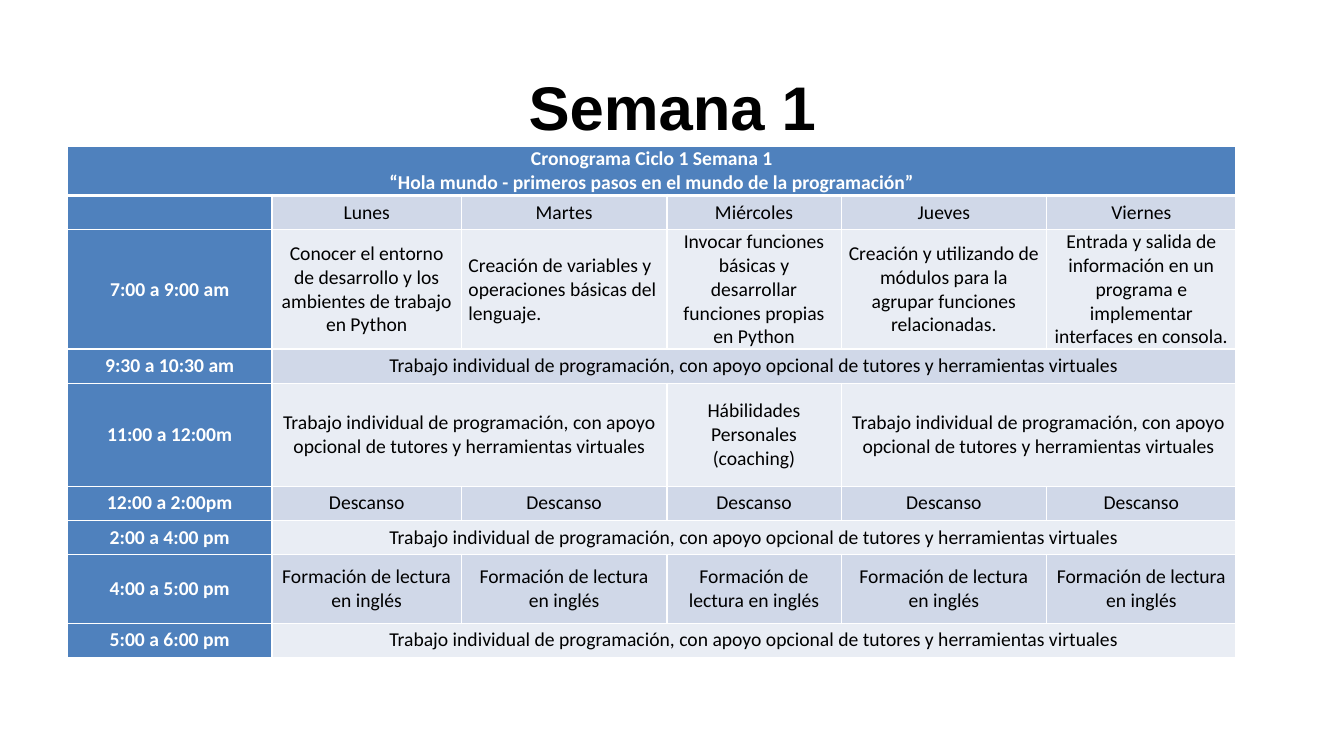
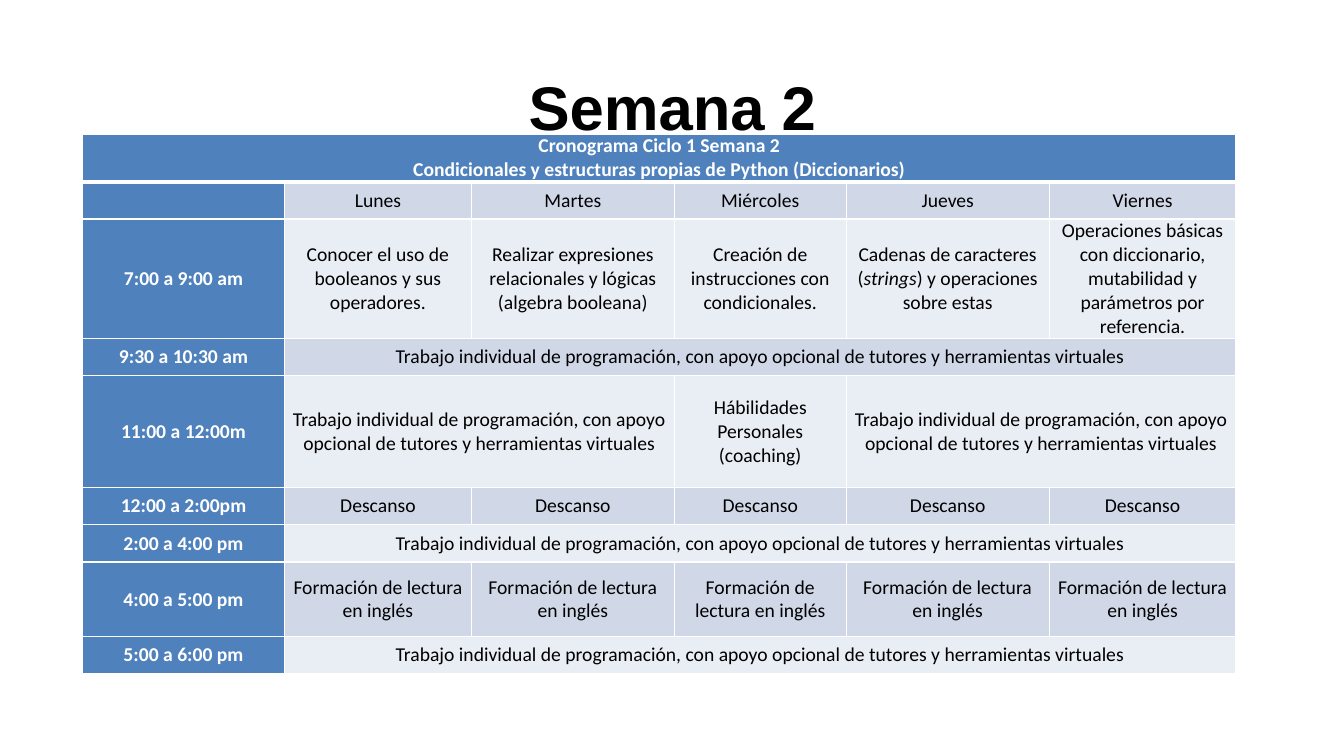
from dataclasses import dataclass

from lxml import etree
from pptx import Presentation
from pptx import util as u
from pptx.dml.color import RGBColor
from pptx.enum import text
from pptx.oxml import ns

BLUE, BAND, PALE = "4F81BD", "D0D8E8", "E9EDF4"
WHITE, BLACK = "FFFFFF", "000000"
COLUMN_WEIGHTS = (2.03, 1.88, 2.04, 1.73, 2.04, 1.88)
ROW_UNITS = (1, 3, 1, 3, 1, 1, 2, 1)
DAYS = ("Lunes", "Martes", "Miércoles", "Jueves", "Viernes")
WORK = "Trabajo individual de programación, con apoyo opcional de tutores y herramientas virtuales"
CENTER, LEFT = text.PP_ALIGN.CENTER, text.PP_ALIGN.LEFT


@dataclass(frozen=True)
class Entry:
    content: str
    span: int = 1
    align: text.PP_ALIGN = CENTER


@dataclass(frozen=True)
class Row:
    label: str
    entries: tuple[Entry, ...]


@dataclass(frozen=True)
class Week:
    title: str
    heading: str
    left: float
    top: float
    width: float
    header_height: float
    row_unit: float
    lessons: tuple[Entry, ...]


def color(value: str) -> RGBColor:
    return RGBColor.from_string(value)


def all_days(content: str) -> tuple[Entry, ...]:
    return (Entry(content),) * len(DAYS)


FULL_WORK = (Entry(WORK, 5),)
SPLIT_WORK = (Entry(WORK, 2), Entry("Hábilidades Personales (coaching)"), Entry(WORK, 2))

WEEKS = (
    Week(
        "Semana 1",
        "Cronograma Ciclo 1 Semana 1\n“Hola mundo - primeros pasos en el mundo de la programación”",
        0.67, 1.45, 11.59, 0.49, 0.34,
        (
            Entry("Conocer el entorno de desarrollo y los ambientes de trabajo en Python"),
            Entry("Creación de variables y operaciones básicas del lenguaje.", align=LEFT),
            Entry("Invocar funciones básicas y desarrollar funciones propias en Python"),
            Entry("Creación y utilizando de módulos para la agrupar funciones relacionadas."),
            Entry("Entrada y salida de información en un programa e implementar interfaces en consola."),
        ),
    ),
    Week(
        "Semana 2",
        "Cronograma Ciclo 1 Semana 2\nCondicionales y estructuras propias de Python (Diccionarios)",
        0.82, 1.33, 11.44, 0.37, 0.37,
        (
            Entry("Conocer el uso de booleanos y sus operadores."),
            Entry("Realizar expresiones relacionales y lógicas (algebra booleana)"),
            Entry("Creación de instrucciones con condicionales."),
            Entry("Cadenas de caracteres (*strings*) y operaciones sobre estas"),
            Entry("Operaciones básicas con diccionario, mutabilidad y parámetros por referencia."),
        ),
    ),
)


def schedule(week: Week) -> tuple[Row, ...]:
    return (
        Row("", tuple(Entry(day) for day in DAYS)),
        Row("7:00 a 9:00 am", week.lessons),
        Row("9:30 a 10:30 am", FULL_WORK),
        Row("11:00 a 12:00m", SPLIT_WORK),
        Row("12:00 a 2:00pm", all_days("Descanso")),
        Row("2:00 a 4:00 pm", FULL_WORK),
        Row("4:00 a 5:00 pm", all_days("Formación de lectura en inglés")),
        Row("5:00 a 6:00 pm", FULL_WORK),
    )


def add_run(p, content: str, font: str, size: float, ink: str, bold: bool, italic: bool = False) -> None:
    r = p.add_run()
    r.text = content
    r.font.name, r.font.size = font, u.Pt(size)
    r.font.bold, r.font.italic = bold, italic
    r.font.color.rgb = color(ink)


def add_title(s, content: str) -> None:
    sp = s.shapes.title
    sp.left, sp.top, sp.width, sp.height = (u.Inches(n) for n in (0.67, 0.56, 12, 0.78))
    tf = sp.text_frame
    tf.auto_size = text.MSO_AUTO_SIZE.NONE
    tf.vertical_anchor = text.MSO_ANCHOR.TOP
    tf.margin_top, tf.margin_bottom = u.Inches(0.12), 0
    p = tf.paragraphs[0]
    p.alignment = CENTER
    add_run(p, content, "Arial", 44, BLACK, True)


def format_cell(cell, fill: str, top: float = 1, bottom: float = 1) -> None:
    cell.margin_left = cell.margin_right = u.Inches(0.07)
    cell.margin_top = cell.margin_bottom = 0
    cell.vertical_anchor = text.MSO_ANCHOR.MIDDLE
    props = cell._tc.get_or_add_tcPr()
    for side, points in (("L", 1), ("R", 1), ("T", top), ("B", bottom)):
        line = etree.SubElement(props, ns.qn(f"a:ln{side}"), w=str(u.Pt(points)))
        solid = etree.SubElement(line, ns.qn("a:solidFill"))
        etree.SubElement(solid, ns.qn("a:srgbClr"), val=WHITE)
    cell.fill.solid()
    cell.fill.fore_color.rgb = color(fill)


def write_cell(cell, entry: Entry, ink: str, bold: bool) -> None:
    tf = cell.text_frame
    for i, line in enumerate(entry.content.split("\n")):
        p = tf.add_paragraph() if i else tf.paragraphs[0]
        p.alignment = entry.align
        for j, part in enumerate(line.split("*")):
            if part:
                add_run(p, part, "Calibri", 14, ink, bold, j % 2 == 1)


def add_schedule(s, week: Week) -> None:
    heights = (week.header_height, *(week.row_unit * n for n in ROW_UNITS))
    frame = s.shapes.add_table(
        len(heights), len(COLUMN_WEIGHTS),
        u.Inches(week.left), u.Inches(week.top), u.Inches(week.width), u.Inches(sum(heights)),
    )
    table = frame.table
    table.horz_banding = False
    for column, weight in zip(table.columns, COLUMN_WEIGHTS):
        column.width = u.Inches(week.width * weight / sum(COLUMN_WEIGHTS))
    for i, (row, height) in enumerate(zip(table.rows, heights)):
        row.height = u.Inches(height)
        body_fill = BAND if i % 2 else PALE
        for j, cell in enumerate(row.cells):
            fill = BLUE if i == 0 or j == 0 else body_fill
            format_cell(cell, fill, 3 if i == 1 else 1, 3 if i == 0 else 1)

    table.cell(0, 0).merge(table.cell(0, len(COLUMN_WEIGHTS) - 1))
    write_cell(table.cell(0, 0), Entry(week.heading), WHITE, True)
    for i, row in enumerate(schedule(week), 1):
        write_cell(table.cell(i, 0), Entry(row.label), WHITE, True)
        j = 1
        for entry in row.entries:
            cell = table.cell(i, j)
            if entry.span > 1:
                cell.merge(table.cell(i, j + entry.span - 1))
            write_cell(cell, entry, BLACK, False)
            j += entry.span


def main() -> None:
    prs = Presentation()
    prs.slide_width, prs.slide_height = u.Inches(13.33), u.Inches(7.5)
    for week in WEEKS:
        s = prs.slides.add_slide(prs.slide_layouts[5])
        add_title(s, week.title)
        add_schedule(s, week)
    prs.save("out.pptx")


if __name__ == "__main__":
    main()
